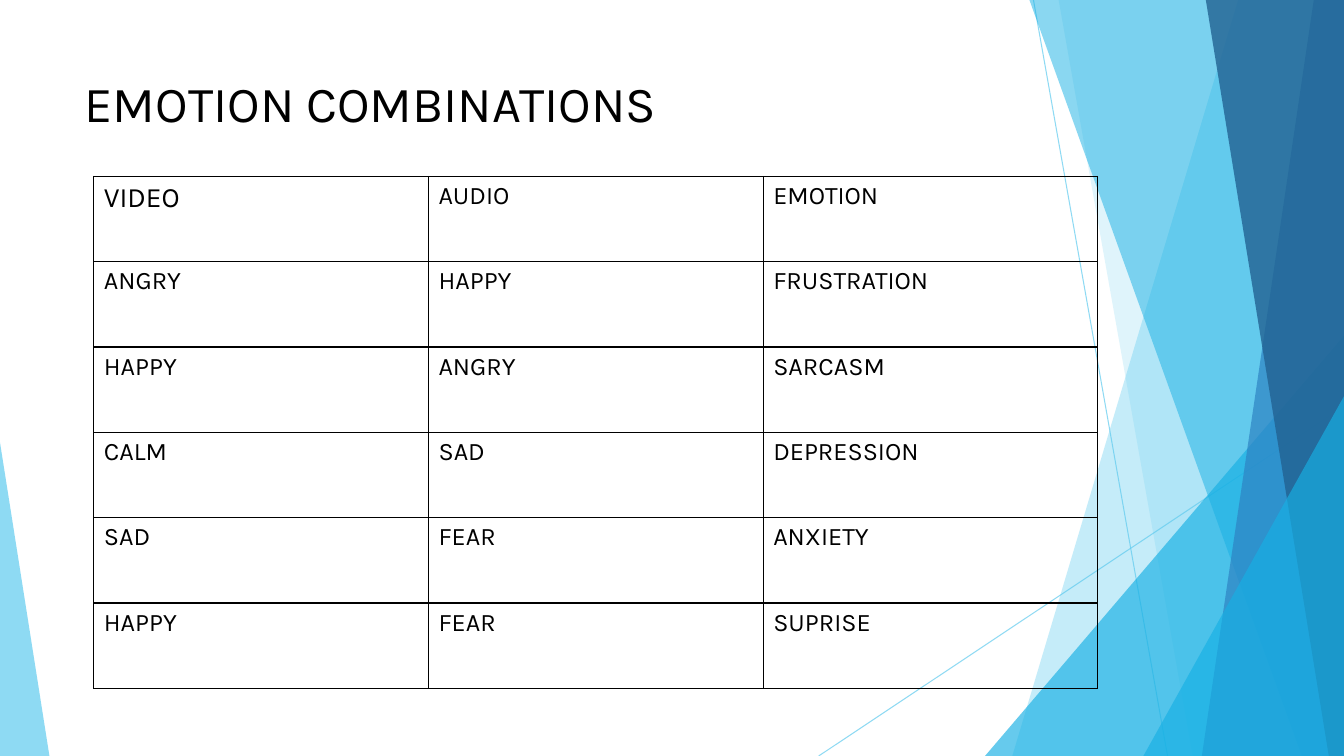
from lxml.etree import SubElement
from pptx import Presentation
from pptx.dml.color import RGBColor
from pptx.enum.shapes import MSO_CONNECTOR, MSO_SHAPE
from pptx.enum.text import MSO_ANCHOR, PP_ALIGN
from pptx.oxml.ns import qn
from pptx.util import Inches, Pt

BLACK = RGBColor(0x00, 0x00, 0x00)
WHITE = RGBColor(0xFF, 0xFF, 0xFF)
SKY = RGBColor(0x5F, 0xCB, 0xEF)
CYAN = RGBColor(0x17, 0xB0, 0xE4)
BLUE = RGBColor(0x2E, 0x83, 0xC3)
NAVY = RGBColor(0x22, 0x62, 0x92)
FONT = "Karla"
WIDTH, HEIGHT = 13.33, 7.5


def set_colour(paint, colour, opacity):
    """Give a fill a solid colour with an opacity in percent."""
    paint.solid()
    paint.fore_color.rgb = colour
    colour_element = next(paint._xPr.iter(qn("a:srgbClr")))
    SubElement(colour_element, qn("a:alpha"), val=str(opacity * 1000))


def set_font(paragraph, size):
    for span in paragraph.runs:
        span.font.name = FONT
        span.font.size = Pt(size)
        span.font.bold = False
        span.font.color.rgb = BLACK


deck = Presentation()
deck.slide_width, deck.slide_height = Inches(WIDTH), Inches(HEIGHT)
page = deck.slides.add_slide(deck.slide_layouts[5])
page.background.fill.solid()
page.background.fill.fore_color.rgb = WHITE

# Thin crossing lines
for ends in [(10.25, 0, 11.58, HEIGHT), (WIDTH, 4.03, 8.12, HEIGHT)]:
    line = page.shapes.add_connector(MSO_CONNECTOR.STRAIGHT, *map(Inches, ends))
    line.line.width = Pt(0.75)
    set_colour(line.line.fill, SKY, 70)
    SubElement(line._element.spPr, qn("a:effectLst"))

# Facets from back to front: bands run from a top x to a bottom x and on to
# the right edge; triangles have a left, top, width and apex position
facets = [
    ("band", (12.28, 10.04), SKY, 36),
    ("band", (10.5, 11.83), SKY, 20),
    ("triangle", (9.77, 3.33, 3.56, 1), CYAN, 66),
    ("band", (10.21, 12.91), CYAN, 50),
    ("band", (13.03, 11.92), BLUE, 70),
    ("band", (11.96, 13.18), NAVY, 80),
    ("triangle", (11.34, 3.93, 1.99, 1), CYAN, 66),
    ("triangle", (0, 4.39, 0.49, 0), SKY, 70),
]
for kind, geometry, colour, opacity in facets:
    if kind == "band":
        top_x, bottom_x = geometry
        outline = page.shapes.build_freeform(Inches(top_x), 0)
        corners = [(WIDTH, 0), (WIDTH, HEIGHT), (bottom_x, HEIGHT)]
        outline.add_line_segments([(Inches(x), Inches(y)) for x, y in corners])
        facet = outline.convert_to_shape()
    else:
        left, top, width, apex = geometry
        facet = page.shapes.add_shape(
            MSO_SHAPE.ISOSCELES_TRIANGLE,
            Inches(left), Inches(top), Inches(width), Inches(HEIGHT - top))
        facet.adjustments[0] = apex
    set_colour(facet.fill, colour, opacity)
    facet.line.fill.background()
    facet.shadow.inherit = False

title = page.shapes.title
title.left, title.top = Inches(0.74), Inches(0.67)
title.width, title.height = Inches(9.4), Inches(1.44)
title.text_frame.text = "EMOTION COMBINATIONS"
title.text_frame.vertical_anchor = MSO_ANCHOR.TOP
title.text_frame.paragraphs[0].alignment = PP_ALIGN.LEFT
set_font(title.text_frame.paragraphs[0], 36)

combinations = [
    ("VIDEO", "AUDIO", "EMOTION"),
    ("ANGRY", "HAPPY", "FRUSTRATION"),
    ("HAPPY", "ANGRY", "SARCASM"),
    ("CALM", "SAD", "DEPRESSION"),
    ("SAD", "FEAR", "ANXIETY"),
    ("HAPPY", "FEAR", "SUPRISE"),
]
table = page.shapes.add_table(
    len(combinations), 3, Inches(0.93), Inches(1.75), Inches(9.96), Inches(5.08)).table
table.first_row = False
table.horz_banding = False
for row, words in zip(table.rows, combinations):
    for cell, word in zip(row.cells, words):
        cell.text_frame.text = word
        set_font(cell.text_frame.paragraphs[0], 20 if word == "VIDEO" else 18)
        properties = cell._tc.get_or_add_tcPr()
        for side in ("a:lnL", "a:lnR", "a:lnT", "a:lnB"):
            border = SubElement(properties, qn(side), w=str(Pt(1)))
            paint = SubElement(border, qn("a:solidFill"))
            SubElement(paint, qn("a:srgbClr"), val=str(BLACK))
        cell.fill.background()

deck.save("out.pptx")
